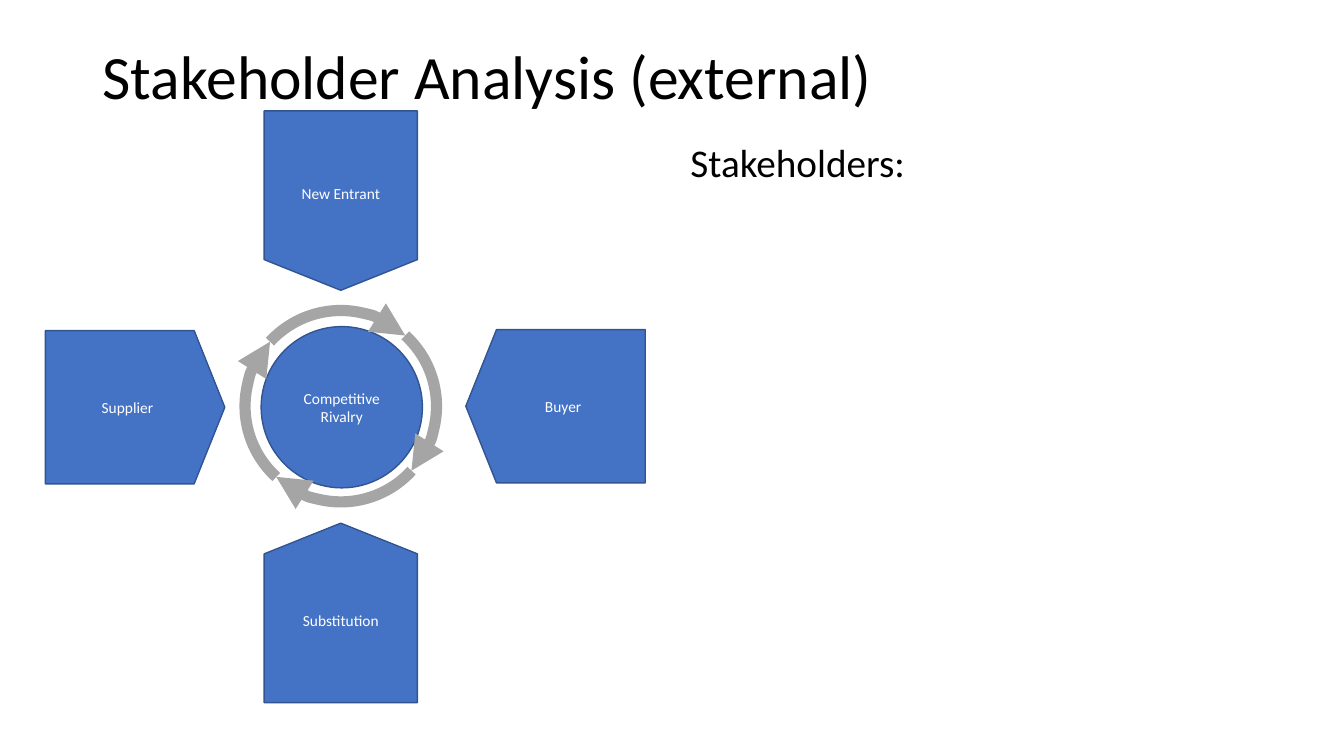
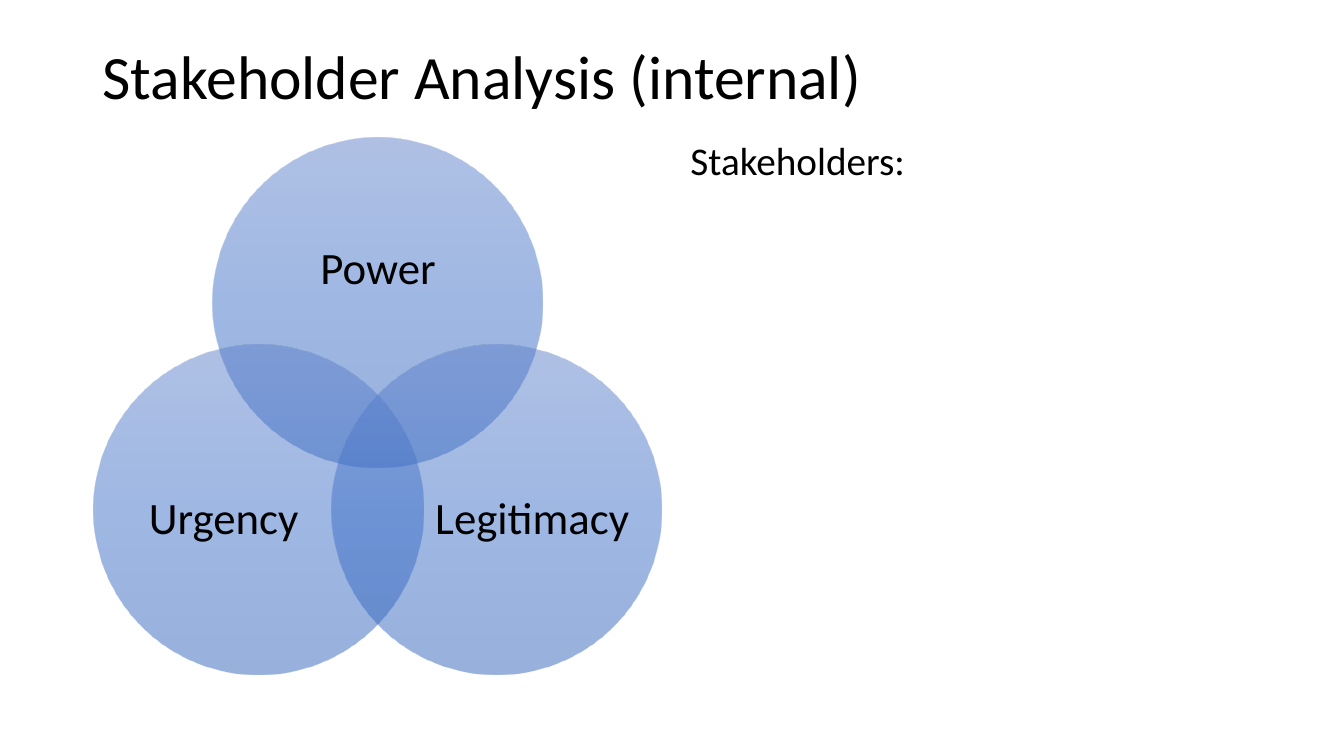
from lxml import etree
from pptx import Presentation
from pptx.dml.color import RGBColor
from pptx.enum.shapes import MSO_SHAPE as SHAPE
from pptx.enum.text import MSO_ANCHOR as ANCHOR, PP_ALIGN as ALIGN
from pptx.oxml import parse_xml
from pptx.oxml.ns import nsdecls, qn
from pptx.util import Inches, Pt

COLORS = {
    "text": "000000", "white": "FFFFFF", "blue": "4472C4", "outline": "325491",
    "gray": "A5A5A5", "venn_top": "6183CB", "venn_mid": "3E70CA", "venn_low": "3062BB",
}
FONT = "Calibri"


def add_shape(s, kind, box, fill=None, line=None, width=1):
    sp = s.shapes.add_shape(kind, *map(Inches, box))
    sp.shadow.inherit = False
    if fill:
        sp.fill.solid()
        sp.fill.fore_color.rgb = RGBColor.from_string(COLORS[fill])
    else:
        sp.fill.background()
    if line:
        sp.line.color.rgb = RGBColor.from_string(COLORS[line])
        sp.line.width = Pt(width)
    else:
        sp.line.fill.background()
    return sp


def write(sp, text, size, color="text", align=ALIGN.CENTER, anchor=ANCHOR.MIDDLE,
          spacing=1.0, inset=None):
    tf = sp.text_frame
    tf.word_wrap = True
    tf.vertical_anchor = anchor
    if inset is not None:
        tf.margin_left = tf.margin_right = tf.margin_top = tf.margin_bottom = Inches(inset)
    p = tf.paragraphs[0]
    p.alignment = align
    p.line_spacing = spacing
    r = p.add_run()
    r.text = text
    r.font.name = FONT
    r.font.size = Pt(size)
    r.font.color.rgb = RGBColor.from_string(COLORS[color])


prs = Presentation()
prs.slide_width, prs.slide_height = Inches(13.33), Inches(7.5)

slides = []
for scope, body_top in (("external", 1.32), ("internal", 1.3)):
    s = prs.slides.add_slide(prs.slide_layouts[6])
    title = s.shapes.add_textbox(Inches(0.92), Inches(0.4), Inches(11.5), Inches(0.78))
    write(title, f"Stakeholder Analysis ({scope})", 44, align=ALIGN.LEFT, spacing=0.9)
    body = s.shapes.add_textbox(Inches(6.75), Inches(body_top),
                                Inches(5.67), Inches(6.75 - body_top))
    write(body, "Stakeholders:", 28, align=ALIGN.LEFT, anchor=ANCHOR.TOP)
    slides.append(s)
external, internal = slides

rivalry = add_shape(external, SHAPE.OVAL, (2.59, 3.24, 1.6, 1.6), "blue", "outline")
write(rivalry, "Competitive Rivalry", 11, "white", inset=0)

for turn in range(4):
    arc = add_shape(external, SHAPE.ARC, (2.43, 3.08, 1.9, 1.9), line="gray", width=8)
    arc.rotation = (312.4 + 90 * turn) % 360
    etree.SubElement(arc.line._get_or_add_ln(), qn("a:tailEnd")).set("type", "triangle")

forces = [
    ("Supplier", 0.45, 3.28, 0, None),
    ("New Entrant", 2.49, 1.23, 90, "vert270"),
    ("Buyer", 4.62, 3.27, 0, None),
    ("Substitution", 2.49, 5.32, 270, "vert"),
]
for name, left, top, rotation, text_direction in forces:
    force = add_shape(external, SHAPE.PENTAGON, (left, top, 1.78, 1.52), "blue", "outline")
    force.adjustments[0] = 0.2
    force.rotation = rotation
    write(force, name, 11, "white")
    if name == "Buyer":
        force._element.spPr.find(qn("a:xfrm")).set("flipH", "1")
    if text_direction:
        force.text_frame._txBody.bodyPr.set("vert", text_direction)

stops = "".join(
    f'<a:gs pos="{pos}"><a:srgbClr val="{COLORS[key]}"><a:alpha val="50000"/></a:srgbClr></a:gs>'
    for pos, key in ((0, "venn_top"), (50000, "venn_mid"), (100000, "venn_low")))
gradient = (f'<a:gradFill {nsdecls("a")} rotWithShape="1"><a:gsLst>{stops}</a:gsLst>'
            '<a:lin ang="5400000" scaled="0"/></a:gradFill>')
venn = [
    ("Power", 2.11, 1.37, (2.55, 1.94, 2.4, 1.47)),
    ("Legitimacy", 3.29, 3.42, (4.3, 4.26, 1.96, 1.8)),
    ("Urgency", 0.93, 3.42, (1.24, 4.26, 1.96, 1.8)),
]
for name, left, top, label_box in venn:
    circle = add_shape(internal, SHAPE.OVAL, (left, top, 3.27, 3.27))
    no_fill = circle._element.spPr.find(qn("a:noFill"))
    no_fill.getparent().replace(no_fill, parse_xml(gradient))
    label = internal.shapes.add_textbox(*map(Inches, label_box))
    write(label, name, 32, spacing=0.9, inset=0)

prs.save("out.pptx")
